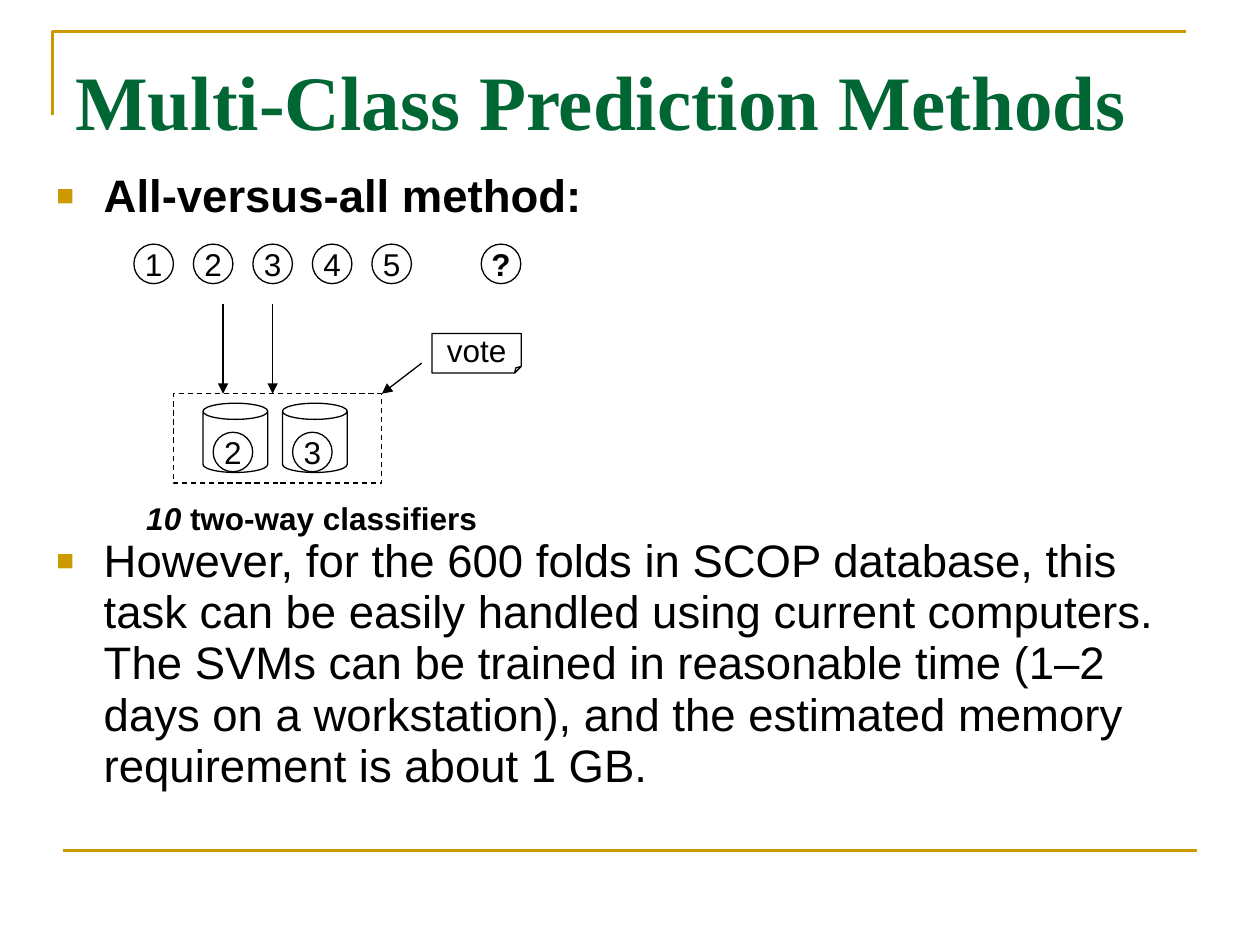
from dataclasses import dataclass
from lxml import etree
from pptx import Presentation
from pptx.dml.color import RGBColor
from pptx.enum.dml import MSO_LINE
from pptx.enum.shapes import MSO_CONNECTOR, MSO_SHAPE
from pptx.enum.text import MSO_ANCHOR, PP_ALIGN
from pptx.oxml.ns import qn
from pptx.util import Pt

OVAL, CAN, RECT = MSO_SHAPE.OVAL, MSO_SHAPE.CAN, MSO_SHAPE.RECTANGLE
NOTE = MSO_SHAPE.FOLDED_CORNER
STRAIGHT = MSO_CONNECTOR.STRAIGHT
DASH = MSO_LINE.DASH
MIDDLE, CENTER = MSO_ANCHOR.MIDDLE, PP_ALIGN.CENTER


@dataclass(frozen=True)
class Theme:
    ink: str = "000000"
    gold: str = "CC9900"
    green: str = "006633"
    sans: str = "Arial"
    serif: str = "Times New Roman"
    title: int = 44
    body: int = 26
    label: int = 18
    thin: float = 0.75
    rule: float = 1.5


class Deck:
    def __init__(self, theme, width, height):
        self.theme = theme
        self.file = Presentation()
        self.file.slide_width, self.file.slide_height = Pt(width), Pt(height)
        self.slide = self.file.slides.add_slide(self.file.slide_layouts[6])
        self.shapes = self.slide.shapes

    def font(self, para, size, name=None, color=None, bold=False):
        font = para.font
        font.size, font.bold = Pt(size), bold
        font.name = name or self.theme.sans
        font.color.rgb = RGBColor.from_string(color or self.theme.ink)

    def stroke(self, item, color, width):
        item.line.color.rgb = RGBColor.from_string(color)
        item.line.width = Pt(width)

    def line(self, start, end, color=None, width=None, arrow=False):
        item = self.shapes.add_connector(STRAIGHT, *map(Pt, start + end))
        self.stroke(item, color or self.theme.ink, width or self.theme.thin)
        if arrow:
            etree.SubElement(item.line._ln, qn("a:tailEnd"), type="triangle")
        etree.SubElement(item._element.spPr, qn("a:effectLst"))

    def frame(self, points):
        first, *rest = [tuple(map(Pt, point)) for point in points]
        maker = self.shapes.build_freeform(*first)
        maker.add_line_segments(rest, close=False)
        item = maker.convert_to_shape()
        item.fill.background()
        item.shadow.inherit = False
        self.stroke(item, self.theme.gold, self.theme.rule)

    def shape(self, kind, box, text=None, bold=False, dash=None):
        item = self.shapes.add_shape(kind, *map(Pt, box))
        item.shadow.inherit = False
        item.fill.background()
        self.stroke(item, self.theme.ink, self.theme.thin)
        if dash:
            item.line.dash_style = dash
        if text:
            frame = item.text_frame
            frame.word_wrap = False
            frame.vertical_anchor = MIDDLE
            para = frame.paragraphs[0]
            para.text, para.alignment = text, CENTER
            self.font(para, self.theme.label, bold=bold)

    def disc(self, left, top, text, bold=False):
        self.shape(OVAL, (left, top, 22.6, 22.6), text, bold)

    def text(self, box):
        frame = self.shapes.add_textbox(*map(Pt, box)).text_frame
        frame.word_wrap = True
        return frame

    def title(self, box, text):
        frame = self.text(box)
        frame.margin_top = Pt(9)
        para = frame.paragraphs[0]
        para.text = text
        theme = self.theme
        self.font(para, theme.title, theme.serif, theme.green, True)

    def bullets(self, box, items):
        frame = self.text(box)
        for index, (text, bold, gap) in enumerate(items):
            para = frame.add_paragraph() if index else frame.paragraphs[0]
            para.text = text
            para.line_spacing = 0.94
            para.space_before = Pt(gap)
            props = para._p.get_or_add_pPr()
            props.set("marL", str(Pt(27)))
            props.set("indent", str(Pt(-27)))
            color = etree.SubElement(props, qn("a:buClr"))
            etree.SubElement(color, qn("a:srgbClr"), val=self.theme.gold)
            etree.SubElement(props, qn("a:buSzPct"), val="65000")
            etree.SubElement(props, qn("a:buFont"), typeface=self.theme.sans)
            etree.SubElement(props, qn("a:buChar"), char="■")
            self.font(para, self.theme.body, bold=bold)

    def caption(self, box, lead, rest):
        para = self.text(box).paragraphs[0]
        run = para.add_run()
        run.text, run.font.italic = lead, True
        para.add_run().text = rest
        self.font(para, self.theme.label, bold=True)


def main():
    theme = Theme()
    deck = Deck(theme, 720, 540)
    deck.frame([(30, 66), (30, 18), (678, 18)])
    deck.line((36, 486), (684, 486), theme.gold, theme.rule)
    deck.title((36, 21.6, 648, 90), "Multi-Class Prediction Methods")
    deck.bullets((25.2, 94.5, 648, 356), [
        ("All-versus-all method:", True, 0),
        ("However, for the 600 folds in SCOP database, this task can be "
         "easily handled using current computers. The SVMs can be trained "
         "in reasonable time (1–2 days on a workstation), and the estimated "
         "memory requirement is about 1 GB.", False, 179),
    ])

    for index in range(5):
        deck.disc(76.5 + 34 * index, 139.5, str(index + 1))
    deck.disc(275, 139.5, "?", True)
    for left in (127.5, 155.8):
        deck.line((left, 173.5), (left, 225), arrow=True)

    for index, name in enumerate("23"):
        step = 45.4 * index
        deck.disc(121.8 + step, 247, name)
        deck.shape(CAN, (116 + step, 230.4, 37, 39.6))
    deck.shape(RECT, (99.2, 225, 119, 51), dash=DASH)
    deck.caption((76.5, 281.5, 204.5, 50), "10 ", "two-way classifiers")

    deck.shape(NOTE, (246.8, 190.6, 51, 22.6), "vote")
    deck.line((241, 207.5), (218.2, 225), arrow=True)
    deck.file.save("out.pptx")


if __name__ == "__main__":
    main()
